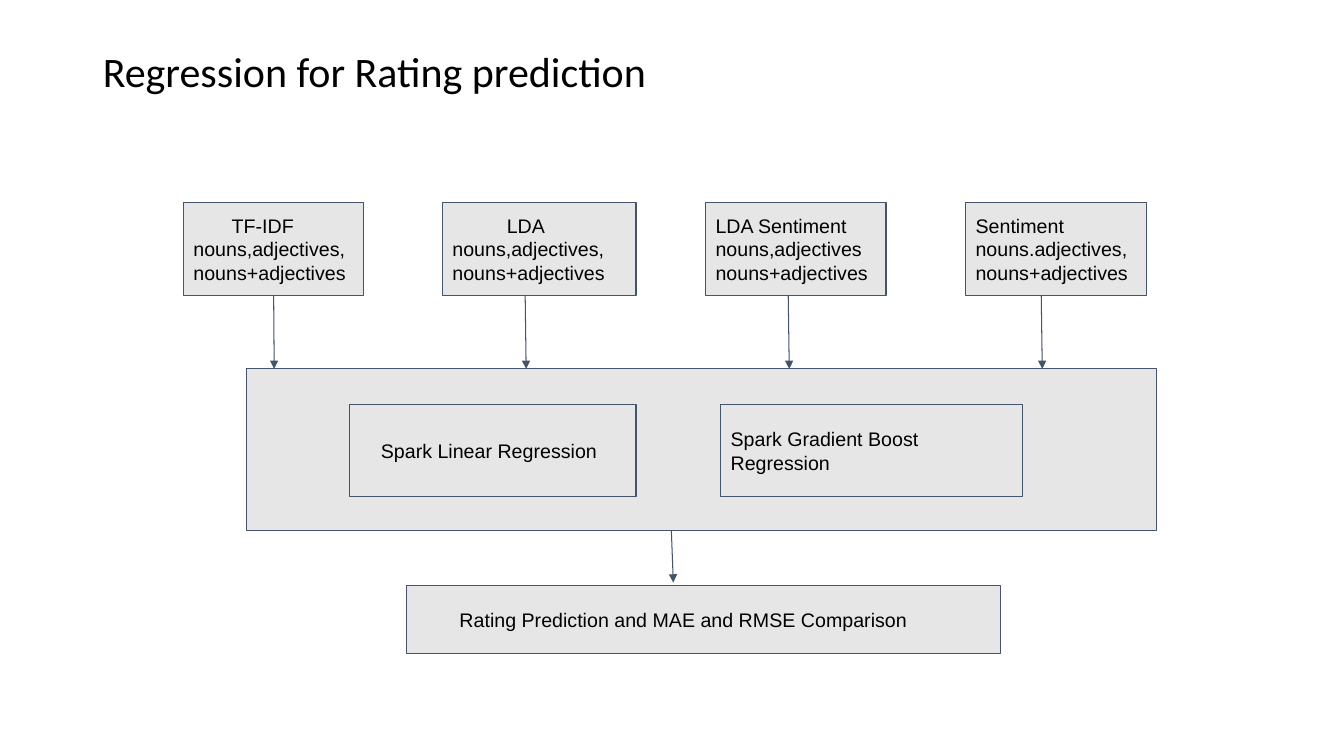
from dataclasses import dataclass

from lxml import etree
from pptx import Presentation
from pptx.dml.color import RGBColor
from pptx.enum.shapes import MSO_CONNECTOR, MSO_SHAPE
from pptx.enum.text import MSO_ANCHOR, MSO_AUTO_SIZE, PP_ALIGN
from pptx.oxml.ns import qn
from pptx.shapes.autoshape import Shape
from pptx.shapes.connector import Connector
from pptx.slide import Slide
from pptx.util import Inches, Pt

RECTANGLE = MSO_SHAPE.RECTANGLE
STRAIGHT = MSO_CONNECTOR.STRAIGHT
MIDDLE = MSO_ANCHOR.MIDDLE
NO_FIT = MSO_AUTO_SIZE.NONE
LEFT = PP_ALIGN.LEFT

SLIDE_WIDTH, SLIDE_HEIGHT = Inches(13.33), Inches(7.5)
COLUMNS, ROWS = 40, 30
BOTTOM_SIDE = 2


@dataclass(frozen=True)
class Theme:
    ink: RGBColor = RGBColor(0x00, 0x00, 0x00)
    fill: RGBColor = RGBColor(0xE7, 0xE6, 0xE6)
    line: RGBColor = RGBColor(0x44, 0x54, 0x6A)
    title_font: str = "Calibri"
    body_font: str = "Arial"
    title_size: int = 30
    body_size: int = 14
    line_width: float = 0.75
    inset: float = 0.1


@dataclass(frozen=True)
class Box:
    column: float
    row: float
    width: float
    height: float
    lines: tuple[str, ...] = ()
    indent: float = 0


@dataclass(frozen=True)
class Arrow:
    column: float
    row: float
    end_column: float
    end_row: float


THEME = Theme()
TITLE = Box(2.76, 1.6, 34.5, 2.68, ("Regression for Rating prediction",))

CARD_ROW, BOX_HEIGHT = 8.04, 3.68
MODEL_ROW = 16.04
PANEL = Box(7.35, 14.64, 27.06, 6.4)
FEATURES = [
    Box(column, CARD_ROW, width, BOX_HEIGHT, lines, indent)
    for column, width, lines, indent in (
        (5.46, 5.37, ("TF-IDF", "nouns,adjectives,", "nouns+adjectives"), 1.14),
        (13.17, 5.76, ("LDA", "nouns,adjectives,", "nouns+adjectives"), 1.62),
        (21, 5.37, ("LDA Sentiment", "nouns,adjectives", "nouns+adjectives"), 0),
        (28.74, 5.37, ("Sentiment", "nouns.adjectives,nouns+adjectives"), 0),
    )
]
MODELS = [
    Box(10.41, MODEL_ROW, 8.52, BOX_HEIGHT, ("Spark Linear Regression",), 0.63),
    Box(21.45, MODEL_ROW, 8.97, BOX_HEIGHT, ("Spark Gradient Boost Regression",)),
]
OUTCOME = Box(
    12.09, 23.24, 17.7, 2.68,
    ("Rating Prediction and MAE and RMSE Comparison",), 1.29,
)
FEATURE_ARROWS = [
    Arrow(column, CARD_ROW + BOX_HEIGHT, column + 0.03, PANEL.row)
    for column in (8.13, 15.63, 23.46, 30.99)
]
OUTCOME_ARROW = Arrow(19.98, PANEL.row + PANEL.height, 20.04, 23.12)


def across(columns: float) -> int:
    return round(SLIDE_WIDTH * columns / COLUMNS)


def down(rows: float) -> int:
    return round(SLIDE_HEIGHT * rows / ROWS)


def draw_title(slide: Slide, title: Box) -> None:
    holder = slide.shapes.title
    holder.left, holder.top = across(title.column), down(title.row)
    holder.width, holder.height = across(title.width), down(title.height)
    frame = holder.text_frame
    frame.text = title.lines[0]
    frame.auto_size = NO_FIT
    frame.vertical_anchor = MIDDLE
    paragraph = frame.paragraphs[0]
    paragraph.alignment = LEFT
    paragraph.line_spacing = 0.9
    paragraph.font.name = THEME.title_font
    paragraph.font.size = Pt(THEME.title_size)
    paragraph.font.color.rgb = THEME.ink


def write_lines(shape: Shape, box: Box) -> None:
    frame = shape.text_frame
    frame.word_wrap = True
    frame.vertical_anchor = MIDDLE
    frame.margin_left = frame.margin_right = Inches(THEME.inset)
    frame.margin_top = frame.margin_bottom = Inches(THEME.inset)
    frame.text = "\n".join(box.lines)
    for paragraph in frame.paragraphs:
        paragraph.alignment = LEFT
        paragraph.font.name = THEME.body_font
        paragraph.font.size = Pt(THEME.body_size)
        paragraph.font.color.rgb = THEME.ink
    if box.indent:
        first = frame.paragraphs[0]._p.get_or_add_pPr()
        first.set("marL", "0")
        first.set("indent", str(across(box.indent)))


def draw_box(slide: Slide, box: Box) -> Shape:
    shape = slide.shapes.add_shape(
        RECTANGLE, across(box.column), down(box.row),
        across(box.width), down(box.height),
    )
    shape.shadow.inherit = False
    shape.fill.solid()
    shape.fill.fore_color.rgb = THEME.fill
    shape.line.color.rgb = THEME.line
    shape.line.width = Pt(THEME.line_width)
    if box.lines:
        write_lines(shape, box)
    return shape


def draw_arrow(slide: Slide, arrow: Arrow) -> Connector:
    connector = slide.shapes.add_connector(
        STRAIGHT, across(arrow.column), down(arrow.row),
        across(arrow.end_column), down(arrow.end_row),
    )
    connector.line.color.rgb = THEME.line
    connector.line.width = Pt(THEME.line_width)
    outline = connector.line._get_or_add_ln()
    etree.SubElement(outline, qn("a:tailEnd"), type="triangle")
    etree.SubElement(connector._element.spPr, qn("a:effectLst"))
    return connector


def main() -> None:
    deck = Presentation()
    deck.slide_width, deck.slide_height = SLIDE_WIDTH, SLIDE_HEIGHT
    slide = deck.slides.add_slide(deck.slide_layouts[5])
    draw_title(slide, TITLE)
    cards = [draw_box(slide, feature) for feature in FEATURES]
    for box in (PANEL, *MODELS, OUTCOME):
        draw_box(slide, box)
    arrows = [draw_arrow(slide, arrow) for arrow in (*FEATURE_ARROWS, OUTCOME_ARROW)]
    arrows[0].begin_connect(cards[0], BOTTOM_SIDE)
    deck.save("out.pptx")


if __name__ == "__main__":
    main()
